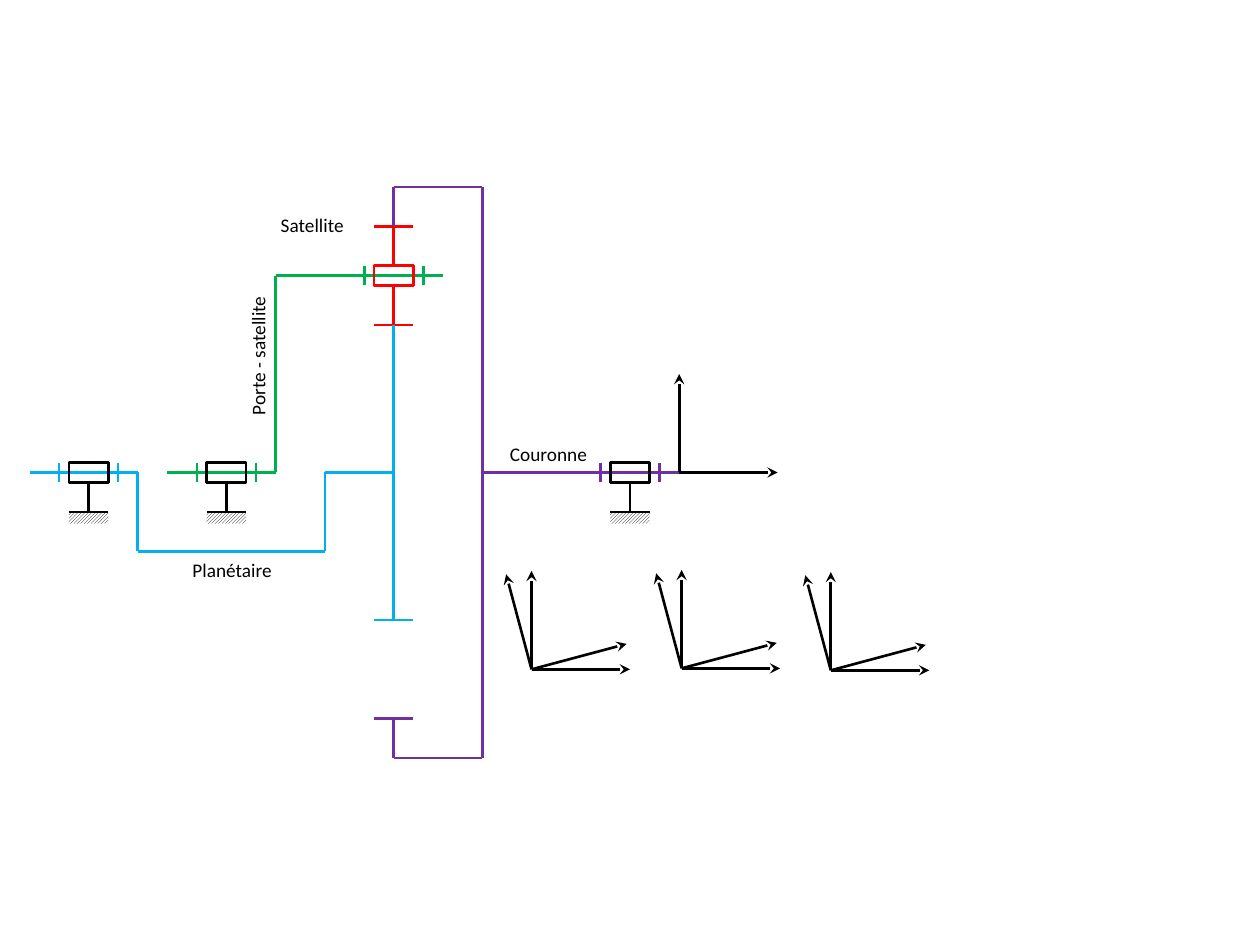
from math import cos, radians, sin

from lxml import etree
from pptx import Presentation
from pptx.dml.color import RGBColor
from pptx.enum.dml import MSO_PATTERN
from pptx.enum.shapes import MSO_CONNECTOR, MSO_SHAPE
from pptx.enum.text import MSO_AUTO_SIZE
from pptx.oxml.ns import qn
from pptx.util import Cm, Pt

STRAIGHT = MSO_CONNECTOR.STRAIGHT
RECT = MSO_SHAPE.RECTANGLE
HATCH = MSO_PATTERN.LIGHT_UPWARD_DIAGONAL
FIT_SHAPE = MSO_AUTO_SIZE.SHAPE_TO_FIT_TEXT

COLORS = {
    "carrier": "00B050",
    "planet": "FF0000",
    "ring": "7030A0",
    "sun": "00B0F0",
    "frame": "000000",
    "paper": "FFFFFF",
}
FONT = "Calibri"
SLIDE_W, SLIDE_H = 25.4, 19.05
COLUMNS = 128


def color(name):
    return RGBColor.from_string(COLORS[name])


def grid(n):
    return Cm(n * SLIDE_W / COLUMNS)


def add_line(shapes, start, end, name, arrow=False):
    c = shapes.add_connector(STRAIGHT, *(grid(n) for n in (*start, *end)))
    c.line.color.rgb = color(name)
    c.line.width = Pt(1.5)
    if arrow:
        ln = c.line._get_or_add_ln()
        etree.SubElement(ln, qn("a:tailEnd"), type="stealth")
    etree.SubElement(c._element.spPr, qn("a:effectLst"))


def add_lines(shapes, box, name, segments):
    x, y = box[:2]
    for x1, y1, x2, y2 in segments:
        add_line(shapes, (x + x1, y + y1), (x + x2, y + y2), name)


def add_rect(shapes, box):
    sp = shapes.add_shape(RECT, *(grid(n) for n in box))
    sp.shadow.inherit = False
    return sp


def add_bearing(shapes, box, sleeve, shaft):
    x, y, w, h = box
    sp = add_rect(shapes, (x + 1, y, w - 2, h))
    sp.fill.background()
    sp.line.color.rgb = color(sleeve)
    sp.line.width = Pt(1.5)
    add_lines(shapes, box, shaft, [(0, 0, 0, h), (w, 0, w, h)])


def add_ground(shapes, box):
    x, y, w, h = box
    stem = 3
    sp = add_rect(shapes, (x, y + stem, w, h - stem))
    sp.fill.patterned()
    sp.fill.pattern = HATCH
    sp.fill.fore_color.rgb = color("frame")
    sp.fill.back_color.rgb = color("paper")
    sp.line.fill.background()
    add_lines(shapes, box, "frame", [(w / 2, 0, w / 2, stem), (w, stem, 0, stem)])


def add_mounted_bearing(shapes, box, shaft):
    x, y, w, h = box
    add_bearing(shapes, (x, y, w, 2), "frame", shaft)
    add_ground(shapes, (x + 1, y + 2, w - 2, h - 2))


def add_carrier(shapes, box):
    x, y, w, h = box
    add_lines(shapes, box, "carrier", [(11, 0, w, 0), (11, h, 11, 0), (0, h, 11, h)])
    add_mounted_bearing(shapes, (x + 3, y + h - 1, 6, 6.2), "carrier")


def add_planet(shapes, box):
    x, y, w, h = box
    mid = w / 2
    add_bearing(shapes, (x - 1, y + h / 2 - 1, w + 2, 2), "planet", "carrier")
    add_lines(shapes, box, "planet", [
        (mid, h / 2 + 1, mid, h), (mid, 0, mid, h / 2 - 1), (0, 0, w, 0), (0, h, w, h)])


def add_ring(shapes, box):
    x, y, w, h = box
    add_lines(shapes, box, "ring", [
        (2, 0, 2, 4), (2, 0, 11, 0), (11, 0, 11, h), (0, h - 4, 4, h - 4),
        (2, h - 4, 2, h), (2, h, 11, h), (11, h / 2, w, h / 2)])
    add_mounted_bearing(shapes, (x + w - 8, y + h / 2 - 1, 6, 6.2), "ring")


def add_sun(shapes, box):
    x, y, w, h = box
    axis, low = 15, 23
    add_lines(shapes, box, "sun", [
        (w - 2, 0, w - 2, h), (w - 4, h, w, h), (30, axis, w - 2, axis),
        (11, low, 11, axis), (0, axis, 11, axis), (11, low, 30, low),
        (30, axis, 30, low)])
    add_mounted_bearing(shapes, (x + 3, y + axis - 1, 6, 6.2), "sun")


def add_axes(shapes, box, angle=0):
    x, y, size = box
    for turn in (angle, angle + 90):
        a = radians(turn)
        add_line(shapes, (x, y), (x + size * cos(a), y - size * sin(a)), "frame", True)


def add_label(shapes, box, text, rotation=0):
    tb = shapes.add_textbox(*(Cm(n) for n in box))
    tb.rotation = rotation
    tf = tb.text_frame
    tf.word_wrap = False
    tf.auto_size = FIT_SHAPE
    r = tf.paragraphs[0].add_run()
    r.text = text
    r.font.name = FONT
    r.font.size = Pt(11)
    r.font.color.rgb = color("frame")


def main():
    prs = Presentation()
    prs.slide_width, prs.slide_height = Cm(SLIDE_W), Cm(SLIDE_H)
    s = prs.slides.add_slide(prs.slide_layouts[6])
    shapes = s.shapes

    add_carrier(shapes, (17, 28, 28, 20))
    add_planet(shapes, (38, 23, 4, 10))
    add_ring(shapes, (38, 19, 31, 58))
    add_sun(shapes, (3, 33, 39, 30))

    for text, box, rotation in [
        ("Couronne", (10.03, 8.79, 2.08, 0.73), 0),
        ("Porte - satellite", (3.73, 6.78, 2.95, 0.73), 270),
        ("Planétaire", (3.63, 11.13, 2.13, 0.73), 0),
        ("Satellite", (5.41, 4.17, 1.8, 0.73), 0),
    ]:
        add_label(shapes, box, text, rotation)

    add_axes(shapes, (69, 48, 10))
    for x, y in [(54, 68), (69.25, 67.9), (84.4, 68.1)]:
        for angle in (0, 15):
            add_axes(shapes.add_group_shape().shapes, (x, y, 10), angle)

    prs.save("out.pptx")


if __name__ == "__main__":
    main()
